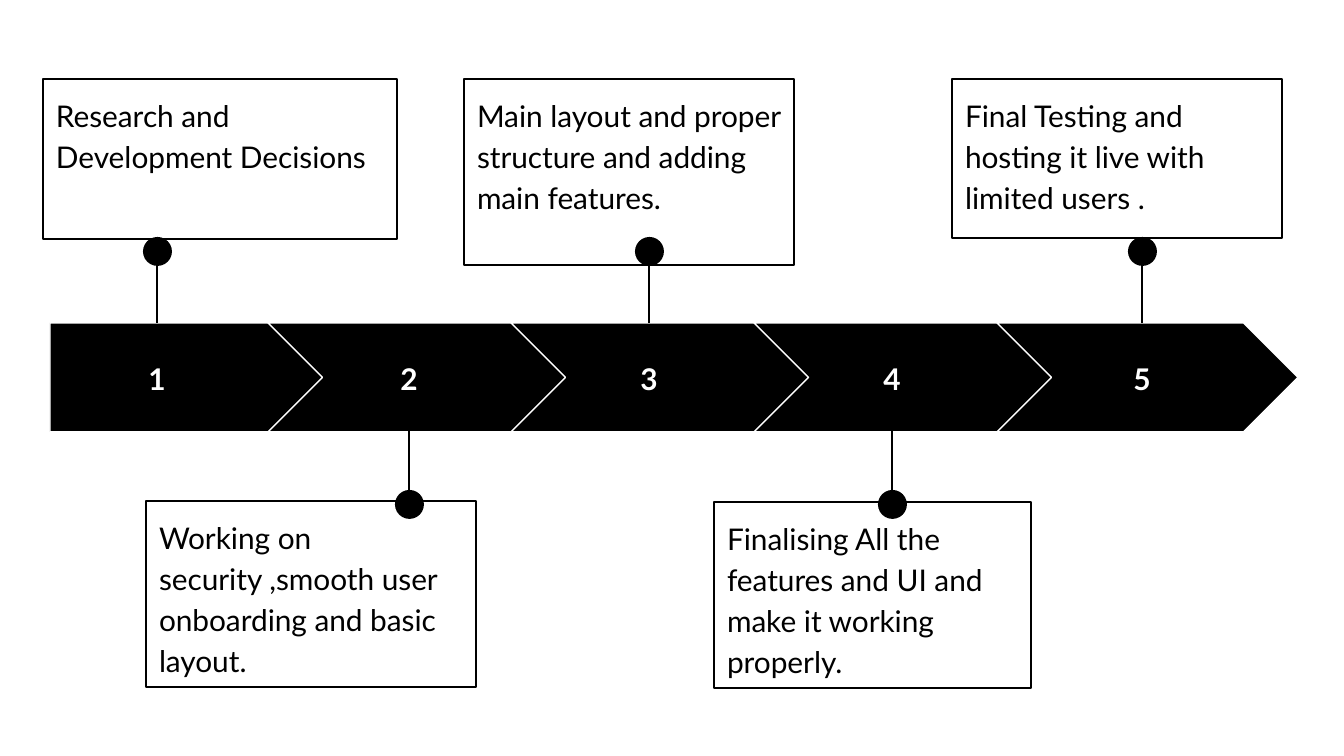
from lxml.etree import SubElement
from pptx import Presentation
from pptx.dml.color import RGBColor
from pptx.enum.shapes import MSO_CONNECTOR, MSO_SHAPE
from pptx.enum.text import MSO_ANCHOR, PP_ALIGN
from pptx.oxml.ns import qn
from pptx.util import Pt

EMU_PER_PIXEL = 914400 / 134.4
BLACK, WHITE = "000000", "FFFFFF"


def px(length):
    return round(length * EMU_PER_PIXEL)


def color(value):
    return RGBColor.from_string(value)


class TimelineSlide:
    """Draws timeline elements on one slide in a shared style."""

    font_name = "Lato"
    font_size = Pt(16)
    line_width = Pt(0.75)
    inset = px(13)

    def __init__(self, slide):
        self.shapes = slide.shapes

    def shape(self, kind, left, top, width, height, fill=None, line=None):
        shape = self.shapes.add_shape(kind, px(left), px(top), px(width), px(height))
        shape.shadow.inherit = False
        if fill:
            shape.fill.solid()
            shape.fill.fore_color.rgb = color(fill)
        else:
            shape.fill.background()
        if line:
            shape.line.color.rgb = color(line)
            shape.line.width = self.line_width
        else:
            shape.line.fill.background()
        return shape

    def set_text(self, shape, text, font_color, anchor, align, bold=False):
        frame = shape.text_frame
        frame.word_wrap = True
        frame.vertical_anchor = anchor
        frame.margin_left = frame.margin_right = self.inset
        frame.margin_top = frame.margin_bottom = self.inset
        paragraph = frame.paragraphs[0]
        paragraph.text = text
        paragraph.alignment = align
        font = paragraph.font
        font.name, font.size, font.bold = self.font_name, self.font_size, bold
        font.color.rgb = color(font_color)
        return paragraph

    def step(self, kind, left, width):
        arrow = self.shape(kind, left, 323, width, 109, BLACK, WHITE)
        arrow.adjustments[0] = 0.5

    def number(self, center, text):
        box = self.shapes.add_textbox(px(center - 97), px(344), px(194), px(69))
        self.set_text(box, text, WHITE, MSO_ANCHOR.MIDDLE, PP_ALIGN.CENTER, bold=True)

    def pin(self, center, start, end, ball_top):
        line = self.shapes.add_connector(
            MSO_CONNECTOR.STRAIGHT, px(center), px(start), px(center), px(end))
        line.line.color.rgb = color(BLACK)
        line.line.width = self.line_width
        SubElement(line._element.spPr, qn("a:effectLst"))
        self.shape(MSO_SHAPE.OVAL, center - 14, ball_top, 29, 29, BLACK)

    def note(self, bounds, text):
        box = self.shape(MSO_SHAPE.RECTANGLE, *bounds, line=BLACK)
        paragraph = self.set_text(box, text, BLACK, MSO_ANCHOR.TOP, PP_ALIGN.LEFT)
        paragraph.line_spacing = 1.15


presentation = Presentation()
presentation.slide_width, presentation.slide_height = px(1344), px(756)
timeline = TimelineSlide(presentation.slides.add_slide(presentation.slide_layouts[6]))

STEPS = [
    (157, (43, 79, 354, 160), "Research and Development Decisions"),
    (409, (146, 501, 330, 186),
     "Working on security ,smooth user onboarding and basic layout."),
    (649, (464, 79, 330, 186),
     "Main layout and proper structure and adding main features."),
    (892, (714, 502, 317, 186),
     "Finalising All the features and UI and make it working properly."),
    (1142, (952, 79, 330, 159),
     "Final Testing and hosting it live with limited users ."),
]
PIN_ABOVE, PIN_BELOW = (242, 323, 237), (431, 513, 490)

for index, (center, bounds, text) in enumerate(STEPS):
    if index == 0:
        timeline.step(MSO_SHAPE.PENTAGON, 50, 276)
    else:
        timeline.step(MSO_SHAPE.CHEVRON, 25 + 243 * index, 301)
    timeline.number(center, str(index + 1))
    timeline.pin(center, *(PIN_BELOW if index % 2 else PIN_ABOVE))
    timeline.note(bounds, text)

presentation.save("out.pptx")
